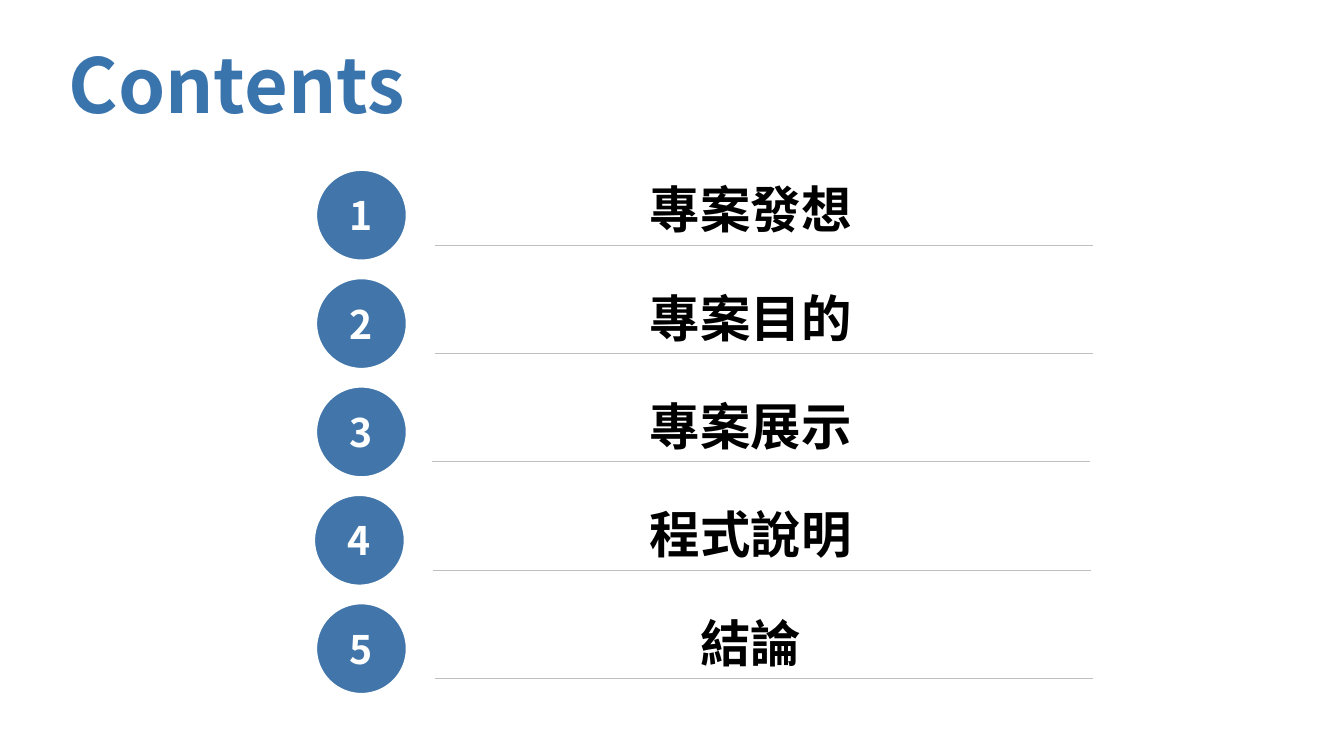
"""Build a contents slide with five numbered chapters."""
import pptx
import pptx.util
import pptx.dml.color
import pptx.enum.shapes
import pptx.enum.text
import pptx.oxml
import pptx.oxml.ns

Inches = pptx.util.Inches
Pt = pptx.util.Pt
RGBColor = pptx.dml.color.RGBColor
ALIGN = pptx.enum.text.PP_ALIGN
BLUE = RGBColor(0x42, 0x76, 0xAA)
TITLE = RGBColor(0x3A, 0x74, 0xAC)
GREY = RGBColor(0xBF, 0xBF, 0xBF)
WHITE = RGBColor(0xFF, 0xFF, 0xFF)
BLACK = RGBColor(0, 0, 0)
FONT = "Noto Sans CJK TC"


def write(shape, text, size, color, align=ALIGN.CENTER):
    """Put bold text into a shape."""
    frame = shape.text_frame
    frame.word_wrap = True
    para = frame.paragraphs[0]
    para.alignment = align
    run = para.add_run()
    run.text = text
    run.font.size = Pt(size)
    run.font.bold = True
    run.font.color.rgb = color
    run.font.name = FONT
    east = pptx.oxml.parse_xml(f'<a:ea {pptx.oxml.ns.nsdecls("a")} typeface="{FONT}"/>')
    run.font._element.append(east)


deck = pptx.Presentation()
deck.slide_width = Inches(13.33)
deck.slide_height = Inches(7.5)
slide = deck.slides.add_slide(deck.slide_layouts[6])
shapes = slide.shapes

title = shapes.add_textbox(Inches(0.58), Inches(0.33), Inches(4.31), Inches(1.01))
title.text_frame.auto_size = pptx.enum.text.MSO_AUTO_SIZE.SHAPE_TO_FIT_TEXT
write(title, "Contents", 54, TITLE, ALIGN.LEFT)

STEP = 4.3 / 4
chapters = [
    ("專案發想", 3.13, 4.31),
    ("專案目的", 3.13, 4.31),
    ("專案展示", 3.13, 4.28),
    ("程式說明", 3.11, 4.29),
    ("結論", 3.13, 4.31),
]
for index, (name, left, start) in enumerate(chapters):
    drop = index * STEP

    disc = shapes.add_shape(pptx.enum.shapes.MSO_SHAPE.OVAL, Inches(left),
                            Inches(1.68 + drop), Inches(0.91), Inches(0.91))
    disc.shadow.inherit = False
    disc.fill.solid()
    disc.fill.fore_color.rgb = BLUE
    disc.line.color.rgb = WHITE
    disc.line.width = Pt(2.25)
    disc.text_frame.vertical_anchor = pptx.enum.text.MSO_ANCHOR.MIDDLE
    write(disc, str(index + 1), 28, WHITE)

    level = Inches(2.43 + drop)
    rule = shapes.add_connector(pptx.enum.shapes.MSO_CONNECTOR.STRAIGHT,
                                Inches(start), level, Inches(start + 6.53), level)
    rule.line.color.rgb = GREY
    rule.line.width = Pt(0.25)
    rule._element.spPr.append(
        pptx.oxml.parse_xml(f'<a:effectLst {pptx.oxml.ns.nsdecls("a")}/>'))

    label = shapes.add_textbox(Inches(6.16), Inches(1.72 + drop), Inches(2.57), Inches(0.71))
    label.text_frame.auto_size = pptx.enum.text.MSO_AUTO_SIZE.SHAPE_TO_FIT_TEXT
    write(label, name, 36, BLACK)

deck.save("out.pptx")
